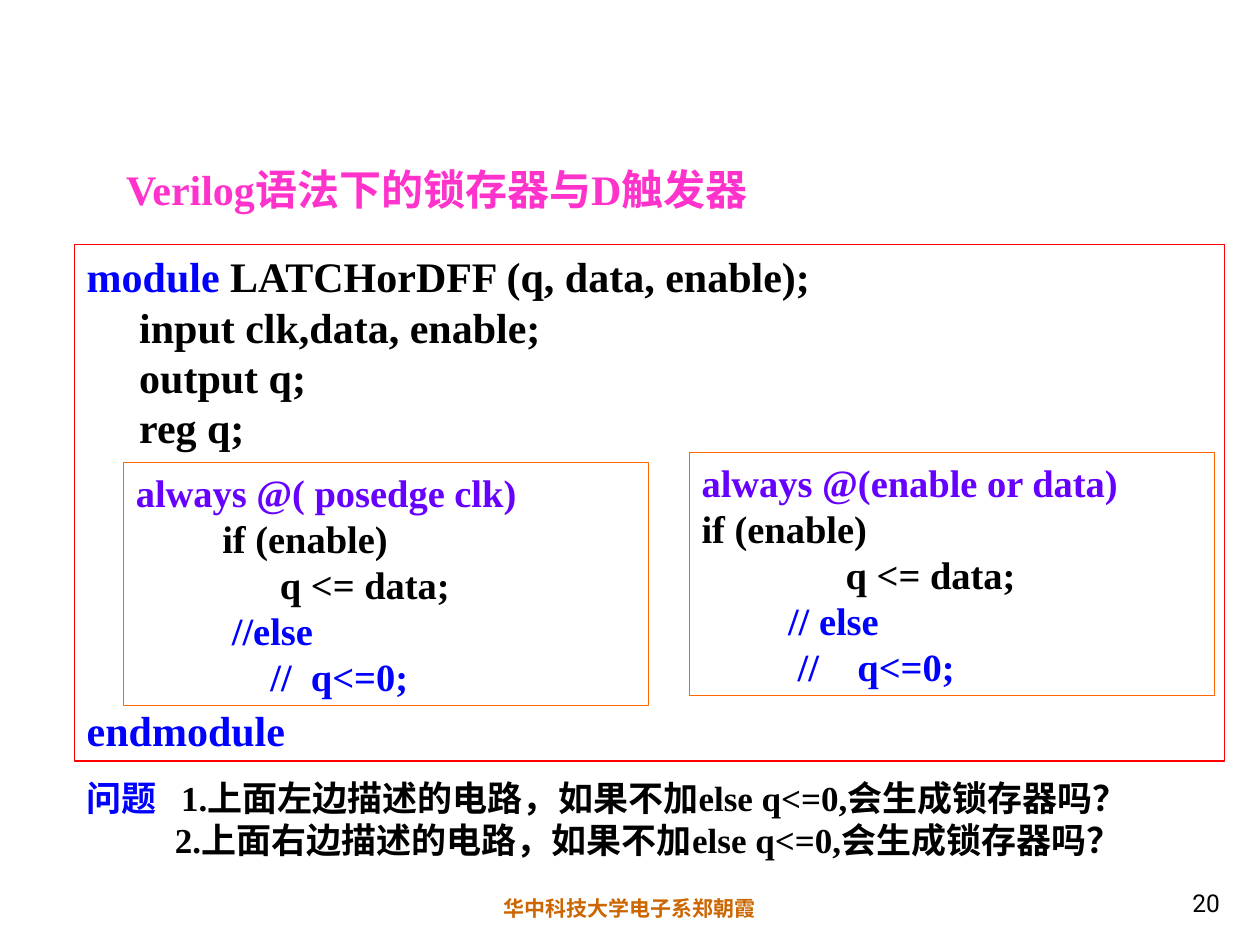
from pptx import Presentation
from pptx.dml.color import RGBColor
from pptx.enum.shapes import MSO_SHAPE
from pptx.enum.text import MSO_ANCHOR, PP_ALIGN
from pptx.util import Inches, Pt

RECTANGLE = MSO_SHAPE.RECTANGLE
TOP, MIDDLE, BOTTOM = MSO_ANCHOR.TOP, MSO_ANCHOR.MIDDLE, MSO_ANCHOR.BOTTOM
LEFT, CENTER, RIGHT = PP_ALIGN.LEFT, PP_ALIGN.CENTER, PP_ALIGN.RIGHT

BLACK = RGBColor(0x00, 0x00, 0x00)
BLUE = RGBColor(0x00, 0x00, 0xFF)
VIOLET = RGBColor(0x66, 0x00, 0xFF)
PINK = RGBColor(0xFF, 0x33, 0xCC)
RED = RGBColor(0xFF, 0x00, 0x00)
ORANGE = RGBColor(0xFF, 0x66, 0x00)
BROWN = RGBColor(0xCC, 0x66, 0x00)

SERIF, SANS, CHINESE = "Times New Roman", "Roboto", "Noto Sans CJK SC"
LINE_PITCH = 1.2  # line height as a multiple of the font size


def set_font(font, name, size, color, bold=True):
    font.name = name
    font.size = Pt(size)
    font.bold = bold
    font.color.rgb = color


def add_paragraphs(frame, lines, size):
    """Each line is a list of (text, colour) runs."""
    for index, runs in enumerate(lines):
        paragraph = frame.paragraphs[0] if index == 0 else frame.add_paragraph()
        paragraph.alignment = LEFT
        paragraph.line_spacing = Pt(LINE_PITCH * size)
        set_font(paragraph.font, SERIF, size, runs[0][1])
        for text, color in runs:
            run = paragraph.add_run()
            run.text = text
            if color != runs[0][1]:
                run.font.color.rgb = color


def add_code_box(slide, box, line_color, lines, size):
    shape = slide.shapes.add_shape(RECTANGLE, *map(Inches, box))
    shape.shadow.inherit = False
    shape.fill.background()
    shape.line.color.rgb = line_color
    shape.line.width = Pt(0.75)
    frame = shape.text_frame
    frame.word_wrap = True
    frame.vertical_anchor = TOP
    add_paragraphs(frame, lines, size)
    return frame


def add_text_box(slide, box, anchor=TOP):
    frame = slide.shapes.add_textbox(*map(Inches, box)).text_frame
    frame.word_wrap = True
    frame.vertical_anchor = anchor
    return frame


def add_label(slide, box, text, alignment, size, color, bold, anchor=TOP):
    paragraph = add_text_box(slide, box, anchor).paragraphs[0]
    paragraph.text = text
    paragraph.alignment = alignment
    set_font(paragraph.font, SANS, size, color, bold)


def fill_title(slide):
    title = slide.shapes.title
    title.left, title.top = Inches(0.9), Inches(1.31)
    title.width, title.height = Inches(9.1), Inches(0.37)
    frame = title.text_frame
    frame.vertical_anchor = MIDDLE
    paragraph = frame.paragraphs[0]
    paragraph.alignment = LEFT
    set_font(paragraph.font, SERIF, 24, PINK)
    for text, font_name in [("Verilog", SERIF), ("语法下的锁存器与", CHINESE),
                            ("D", SERIF), ("触发器", CHINESE)]:
        run = paragraph.add_run()
        run.text = text
        run.font.name = font_name


def add_questions(slide):
    frame = add_text_box(slide, (0.59, 6.11, 9.06, 0.77))
    lines = [
        [("问题\t", BLUE), ("1.上面左边描述的电路，如果不加else q<=0,会生成锁存器吗？", BLACK)],
        [("2.上面右边描述的电路，如果不加else q<=0,会生成锁存器吗？", BLACK)],
    ]
    # The first line hangs its label; the second is only indented
    for properties, margin, indent in [
            (frame.paragraphs[0]._p.get_or_add_pPr(), 0.75, -0.75),
            (frame.add_paragraph()._p.get_or_add_pPr(), 0.7, 0)]:
        properties.set("marL", str(Inches(margin)))
        properties.set("indent", str(Inches(indent)))
    for paragraph, runs in zip(frame.paragraphs, lines):
        paragraph.line_spacing = Pt(LINE_PITCH * 20)
        set_font(paragraph.font, SERIF, 20, BLACK)
        for text, color in runs:
            run = paragraph.add_run()
            run.text = text
            run.font.color.rgb = color


def main():
    presentation = Presentation()
    presentation.slide_width, presentation.slide_height = Inches(10), Inches(7.5)
    slide = presentation.slides.add_slide(presentation.slide_layouts[5])
    fill_title(slide)

    # Module listing, with room for the two always blocks before endmodule
    module = add_code_box(slide, (0.59, 1.94, 9.13, 4.1), RED, [
        [("module ", BLUE), ("LATCHorDFF (q, data, enable);", BLACK)],
        [("     input clk,data, enable;", BLACK)],
        [("     output q;", BLACK)],
        [("     reg q;", BLACK)],
        [("endmodule", BLUE)],
    ], 24)
    module.paragraphs[-1].space_before = Pt(5 * LINE_PITCH * 24)

    # Flip-flop and latch variants
    add_code_box(slide, (0.98, 3.67, 4.17, 1.93), ORANGE, [
        [("always @( posedge clk)", VIOLET)],
        [("         if (enable)", BLACK)],
        [("               q <= data;", BLACK)],
        [("          //else", BLUE)],
        [("              //  q<=0;", BLUE)],
    ], 22)
    add_code_box(slide, (5.47, 3.59, 4.17, 1.93), ORANGE, [
        [("always @(enable or data)", VIOLET)],
        [("if (enable)", BLACK)],
        [("               q <= data;", BLACK)],
        [("         // else", BLUE)],
        [("          //    q<=0;", BLUE)],
    ], 22)

    add_questions(slide)

    # Footer and page number
    add_label(slide, (0, 7.06, 10, 0.3), "华中科技大学电子系郑朝霞",
              CENTER, 12, BROWN, True)
    add_label(slide, (7.7, 6.83, 2.08, 0.5), "20", RIGHT, 14, BLACK, False, BOTTOM)
    presentation.save("out.pptx")


if __name__ == "__main__":
    main()
